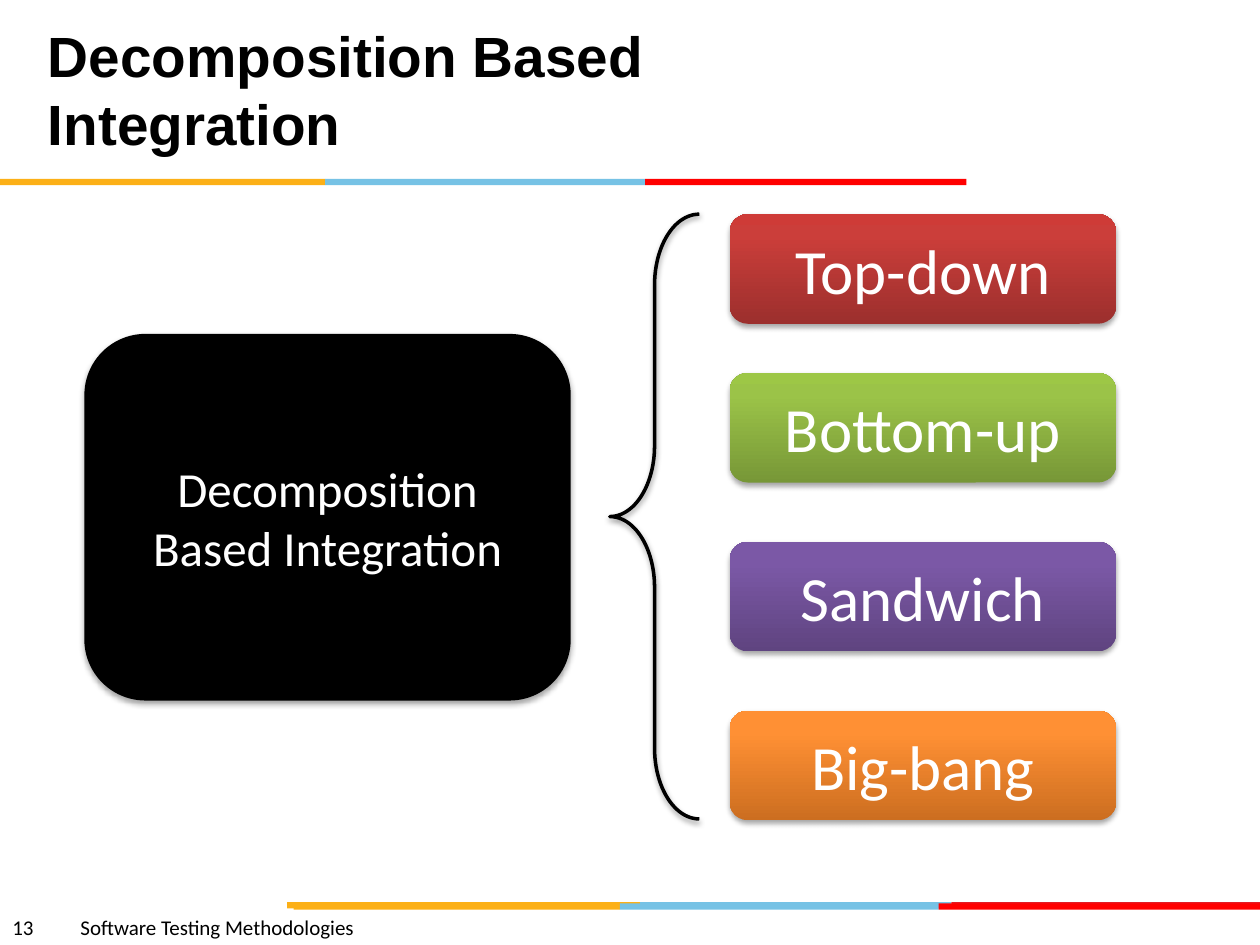
from lxml import etree
from pptx import Presentation
from pptx.dml.color import RGBColor
from pptx.enum.shapes import MSO_SHAPE
from pptx.enum.text import MSO_ANCHOR, MSO_AUTO_SIZE, PP_ALIGN
from pptx.oxml.ns import qn
from pptx.util import Inches, Pt

RECT, ROUNDED, BRACE = MSO_SHAPE.RECTANGLE, MSO_SHAPE.ROUNDED_RECTANGLE, MSO_SHAPE.LEFT_BRACE
MIDDLE, NO_FIT = MSO_ANCHOR.MIDDLE, MSO_AUTO_SIZE.NONE
LEFT, CENTER = PP_ALIGN.LEFT, PP_ALIGN.CENTER

COLORS = {
    "black": "000000", "white": "FFFFFF", "orange": "FCB017",
    "blue": "76C2E5", "crimson": "E31C24", "red": "FF0000",
}
GRADIENTS = {
    "red": ("9C2F2D", "CB3E3A", "CE3B37"),
    "green": ("779737", "9BC348", "9DC746"),
    "purple": ("5F4480", "7B58A6", "7C57A8"),
    "orange": ("CC6E20", "FF9034", "FF9136"),
}
GRADIENT_STOPS = (0, 80, 100)
APPROACHES = [
    ("Top-down", "red", 1.7),
    ("Bottom-up", "green", 2.96),
    ("Sandwich", "purple", 4.3),
    ("Big-bang", "orange", 5.64),
]
BAR_HEIGHT = 0.05


def rgb(name):
    return RGBColor.from_string(COLORS[name])


def add_shape(s, kind, box):
    sp = s.shapes.add_shape(kind, *map(Inches, box))
    sp.shadow.inherit = False
    sp.fill.background()
    sp.line.fill.background()
    return sp


def fill_solid(sp, color):
    sp.fill.solid()
    sp.fill.fore_color.rgb = rgb(color)


def fill_gradient(sp, colors):
    sp.fill.gradient()
    sp.fill.gradient_angle = 90
    stops = sp._element.spPr.find(qn("a:gradFill")).find(qn("a:gsLst"))
    for old in list(stops):
        stops.remove(old)
    for percent, color in zip(GRADIENT_STOPS, colors):
        stop = etree.SubElement(stops, qn("a:gs"), pos=str(percent * 1000))
        etree.SubElement(stop, qn("a:srgbClr"), val=color)


def add_shadow(sp, opacity=35, distance=1.8):
    effects = sp._element.spPr.find(qn("a:effectLst"))
    shadow = etree.SubElement(
        effects, qn("a:outerShdw"), blurRad=str(Pt(3.1)),
        dist=str(Pt(distance)), dir="5400000", rotWithShape="0")
    color = etree.SubElement(shadow, qn("a:srgbClr"), val=COLORS["black"])
    etree.SubElement(color, qn("a:alpha"), val=str(opacity * 1000))


def write_text(sp, text, size, color, align, font="Calibri", bold=False):
    tf = sp.text_frame
    tf.word_wrap = True
    tf.auto_size = NO_FIT
    tf.vertical_anchor = MIDDLE
    p = tf.paragraphs[0]
    p.alignment = align
    r = p.add_run()
    r.text = text
    r.font.color.rgb = rgb(color)
    for name, value in {"name": font, "size": Pt(size), "bold": bold}.items():
        setattr(r.font, name, value)
    return p


def add_stripe(s, left, top, segments):
    for width, color in segments:
        fill_solid(add_shape(s, RECT, (left, top, width, BAR_HEIGHT)), color)
        left += width


def add_title(s, box):
    title = s.shapes.title
    for name, value in zip(("left", "top", "width", "height"), box):
        setattr(title, name, Inches(value))
    write_text(title, "Decomposition Based Integration", 32.4, "black", LEFT, "Arial", True)


def add_footer(s, box):
    sp = s.shapes.add_textbox(*map(Inches, box))
    p = write_text(sp, "13\tSoftware Testing Methodologies", 12, "black", LEFT)
    tabs = etree.SubElement(p._p.get_or_add_pPr(), qn("a:tabLst"))
    etree.SubElement(tabs, qn("a:tab"), pos=str(Inches(0.54)), algn="l")


def add_topic(s, box):
    sp = add_shape(s, ROUNDED, box)
    fill_solid(sp, "black")
    add_shadow(sp)
    write_text(sp, "Decomposition Based Integration", 28, "white", CENTER)


def add_approaches(s, left, width, height):
    for text, gradient, top in APPROACHES:
        sp = add_shape(s, ROUNDED, (left, top, width, height))
        fill_gradient(sp, GRADIENTS[gradient])
        add_shadow(sp)
        write_text(sp, text, 36, "white", CENTER)


def add_brace(s, box):
    sp = add_shape(s, BRACE, box)
    sp.adjustments[0] = 0.79
    sp.line.color.rgb = rgb("black")
    sp.line.width = Pt(2)
    add_shadow(sp, opacity=38, distance=1.6)


def main():
    prs = Presentation()
    prs.slide_width, prs.slide_height = Inches(10), Inches(7.5)
    s = prs.slides.add_slide(prs.slide_layouts[5])
    add_stripe(s, 2.28, 7.16, [(2.8, "orange"), (2.47, "blue"), (2.45, "crimson")])
    add_stripe(s, 2.33, 7.17, [(2.59, "orange"), (2.53, "blue"), (2.55, "red")])
    add_stripe(s, 0, 1.42, [(2.58, "orange"), (2.54, "blue"), (2.55, "red")])
    add_footer(s, (0, 7.21, 5, 0.3))
    add_title(s, (0.28, 0.08, 6.85, 1.25))
    add_approaches(s, 5.79, 3.07, 0.87)
    add_topic(s, (0.67, 2.65, 3.86, 2.91))
    add_brace(s, (4.84, 1.7, 0.71, 4.8))
    prs.save("out.pptx")


if __name__ == "__main__":
    main()
